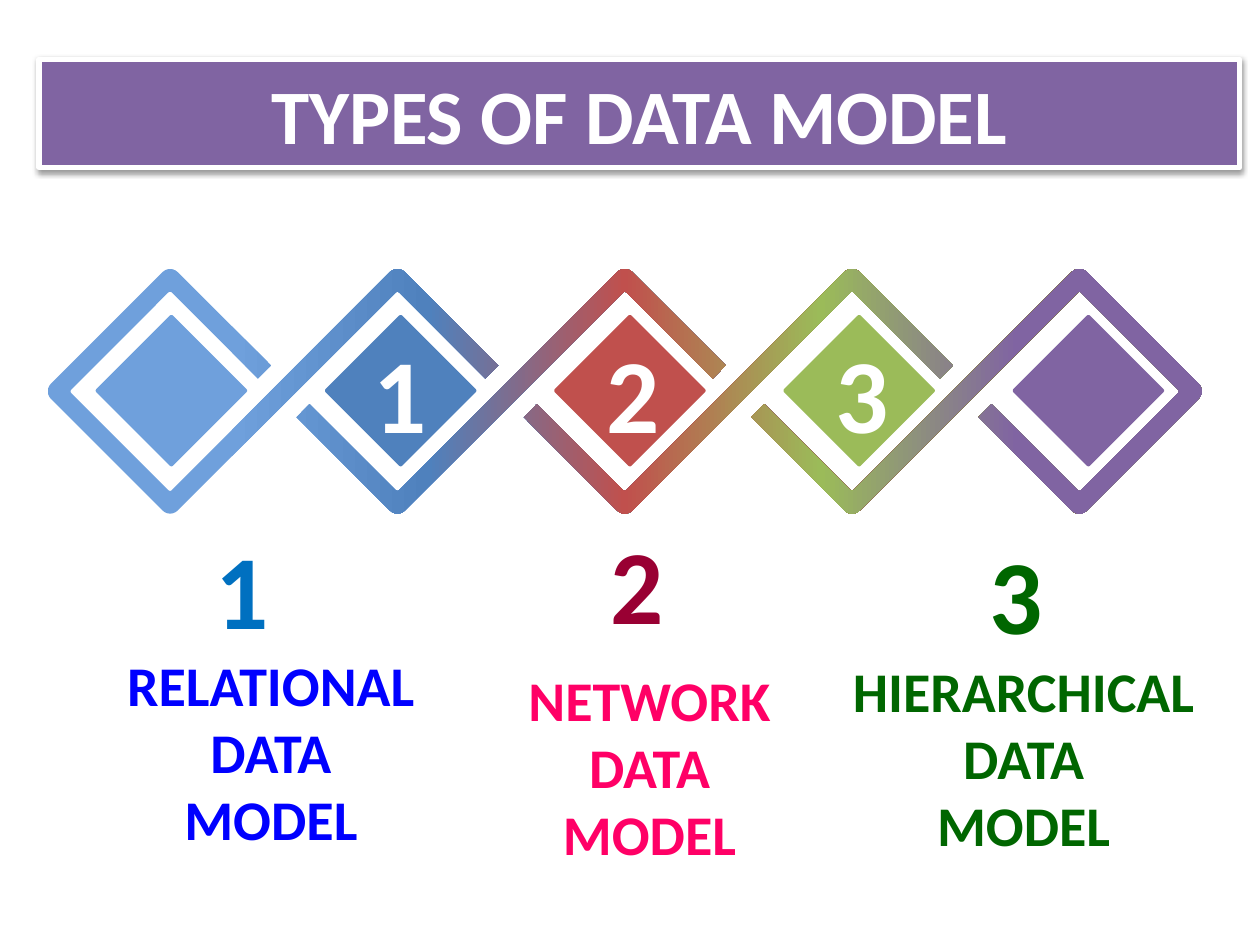
"""Build the slide that shows three types of data model below a chain of diamonds."""
from dataclasses import dataclass
from math import cos, radians, sin, sqrt

from lxml.etree import SubElement
from pptx import Presentation
from pptx.dml.color import RGBColor
from pptx.enum.shapes import MSO_SHAPE
from pptx.enum.text import MSO_ANCHOR, MSO_AUTO_SIZE, PP_ALIGN
from pptx.oxml.ns import qn
from pptx.util import Pt

FONT = "Calibri"
WHITE, PURPLE = "FFFFFF", "8064A2"
DIAMOND_COLORS = ["6FA0DC", "4F81BD", "C0504D", "9BBB59", PURPLE]
RIBBON_STOPS = [(0, "6FA0DC"), (16, "6FA0DC"), (33, "4F81BD"), (50, "C0504D"),
                (67, "9BBB59"), (84, PURPLE), (100, PURPLE)]
FIRST_X, CENTER_Y, PITCH = 97.2, 223.6, 129.9
TOP, LEFT, BOTTOM = 270, 180, 90


@dataclass(frozen=True)
class Edge:
    """One side of the ribbon: corner reach, corner radius and cut end."""
    reach: float
    radius: float
    end: tuple[float, float]


OUTER = Edge(72.4, 6, (57.6, -14.8))
INNER = Edge(57.5, 1.5, (50.2, -7.3))


@dataclass(frozen=True)
class Label:
    """A text box with one or more paragraphs."""
    lines: tuple[str, ...]
    color: str
    left: float
    top: float
    width: float
    height: float
    size: float = 32
    anchor: MSO_ANCHOR = MSO_ANCHOR.TOP
    insets: tuple[float, float] = (7.2, 3.6)
    grow: bool = True


def number(text: str, color: str, left: float, top: float) -> Label:
    """Describe a large digit."""
    return Label((text,), color, left, top, 108.7, 75.6, 60,
                 MSO_ANCHOR.MIDDLE, (5, 3), False)


LABELS = [
    Label(("RELATIONAL DATA MODEL",), "0000FF", 61.9, 367.9, 185.8, 123.8),
    Label(("NETWORK DATA MODEL",), "FF0066", 292.3, 376.6, 157.7, 123.8),
    Label(("HIERARCHICAL DATA", "MODEL"), "006600", 478.1, 371.5, 213.8, 123.8),
    number("1", WHITE, 174.2, 185.8),
    number("2", WHITE, 307.4, 185.8),
    number("3", WHITE, 438.5, 185.8),
    number("1", "0070C0", 84.2, 298.1),
    number("2", "990033", 309.6, 295.2),
    number("3", "006600", 526.3, 301),
]


def rgb(value: str) -> RGBColor:
    """Turn a hex string into a colour."""
    return RGBColor.from_string(value)


def add_color(parent, value: str):
    """Append a colour element to an XML parent."""
    return SubElement(parent, qn("a:srgbClr"), val=value)


def add_run(p, text: str, size: float, color: str) -> None:
    """Add one bold centred run."""
    p.alignment = PP_ALIGN.CENTER
    r = p.add_run()
    r.text = text
    r.font.name, r.font.size, r.font.bold = FONT, Pt(size), True
    r.font.color.rgb = rgb(color)


def add_title(s, text: str) -> None:
    """Format the title placeholder as a framed bar with a shadow."""
    sp = s.shapes.title
    sp.left, sp.top, sp.width, sp.height = Pt(22.3), Pt(33.8), Pt(686.2), Pt(61.9)
    sp.fill.solid()
    sp.fill.fore_color.rgb = rgb(PURPLE)
    sp.line.color.rgb, sp.line.width = rgb(WHITE), Pt(3)
    sp.shadow.inherit = False
    effects = sp._element.spPr.find(qn("a:effectLst"))
    shadow = SubElement(effects, qn("a:outerShdw"), blurRad=str(Pt(3.1)),
                        dist=str(Pt(1.6)), dir="5400000", rotWithShape="0")
    SubElement(add_color(shadow, "000000"), qn("a:alpha"), val="38000")
    tf = sp.text_frame
    tf.auto_size, tf.vertical_anchor = MSO_AUTO_SIZE.NONE, MSO_ANCHOR.MIDDLE
    add_run(tf.paragraphs[0], text, 44, WHITE)


def corner(index: int, edge: Edge, angle: float, turn: int) -> list:
    """Return the points around one rounded diamond corner."""
    mid = edge.reach - edge.radius * sqrt(2)
    x = FIRST_X + index * PITCH + mid * cos(radians(angle))
    y = CENTER_Y + mid * sin(radians(angle))
    sweep = [radians(angle + turn * step) for step in range(-45, 46, 15)]
    return [(x + edge.radius * cos(a), y + edge.radius * sin(a)) for a in sweep]


def cut(index: int, edge: Edge, side: int) -> list:
    """Return the point where a strand ends, right (1) or left (-1)."""
    x, y = edge.end
    return [(FIRST_X + index * PITCH + side * x, CENTER_Y + side * y)]


def half_turn(points: list, index: float) -> list:
    """Rotate points by 180 degrees about a place on the chain."""
    x0 = FIRST_X + index * PITCH
    return [(2 * x0 - x, 2 * CENTER_Y - y) for x, y in points]


def middle_strand(index: int) -> list:
    """Outline the strand from under one diamond to over the next."""
    side = (cut(index, OUTER, -1) + corner(index, OUTER, BOTTOM, -1)
            + corner(index + 1, INNER, TOP, 1) + cut(index + 1, INNER, 1))
    return side + half_turn(side, index + 0.5)


def first_strand() -> list:
    """Outline the strand around the first diamond and over the second."""
    return (cut(0, INNER, 1)
            + [pt for a in (TOP, LEFT, BOTTOM) for pt in corner(0, INNER, a, -1)]
            + corner(1, OUTER, TOP, 1) + cut(1, OUTER, 1)
            + cut(1, INNER, 1) + corner(1, INNER, TOP, -1)
            + [pt for a in (BOTTOM, LEFT, TOP) for pt in corner(0, OUTER, a, 1)]
            + cut(0, OUTER, 1))


def add_ribbon(s) -> None:
    """Draw all strands as one outline with a gradient."""
    first = first_strand()
    strands = [first, middle_strand(1), middle_strand(2), half_turn(first, 2)]
    outlines = [[(Pt(x), Pt(y)) for x, y in strand] for strand in strands]
    builder = s.shapes.build_freeform(*outlines[0][0])
    builder.add_line_segments(outlines[0][1:])
    for outline in outlines[1:]:
        builder.move_to(*outline[0])
        builder.add_line_segments(outline[1:])
    sp = builder.convert_to_shape()
    sp.shadow.inherit = False
    sp.line.fill.background()
    sp.fill.gradient()
    sp.fill.gradient_angle = 0
    stops = sp._element.spPr.find(qn("a:gradFill")).find(qn("a:gsLst"))
    for stop in list(stops):
        stops.remove(stop)
    for position, color in RIBBON_STOPS:
        add_color(SubElement(stops, qn("a:gs"), pos=str(position * 1000)), color)


def add_diamond(s, index: int, color: str) -> None:
    """Draw one filled diamond inside the chain."""
    sp = s.shapes.add_shape(MSO_SHAPE.ROUNDED_RECTANGLE, Pt(67 + 131 * index),
                            Pt(192.3), Pt(61.9), Pt(61.9))
    sp.adjustments[0] = 0.02
    sp.rotation = 45
    sp.shadow.inherit = False
    sp.fill.solid()
    sp.fill.fore_color.rgb = rgb(color)
    sp.line.fill.background()


def add_label(s, label: Label) -> None:
    """Draw one text box."""
    sp = s.shapes.add_textbox(Pt(label.left), Pt(label.top), Pt(label.width), Pt(label.height))
    tf = sp.text_frame
    tf.word_wrap, tf.vertical_anchor = True, label.anchor
    tf.auto_size = MSO_AUTO_SIZE.SHAPE_TO_FIT_TEXT if label.grow else MSO_AUTO_SIZE.NONE
    tf.margin_left = tf.margin_right = Pt(label.insets[0])
    tf.margin_top = tf.margin_bottom = Pt(label.insets[1])
    for i, line in enumerate(label.lines):
        add_run(tf.add_paragraph() if i else tf.paragraphs[0], line, label.size, label.color)


def main() -> None:
    """Build and save the slide."""
    prs = Presentation()
    prs.slide_width, prs.slide_height = Pt(720), Pt(540)
    s = prs.slides.add_slide(prs.slide_layouts[5])
    add_title(s, "TYPES OF DATA MODEL")
    add_ribbon(s)
    for index, color in enumerate(DIAMOND_COLORS):
        add_diamond(s, index, color)
    for label in LABELS:
        add_label(s, label)
    prs.save("out.pptx")


if __name__ == "__main__":
    main()
